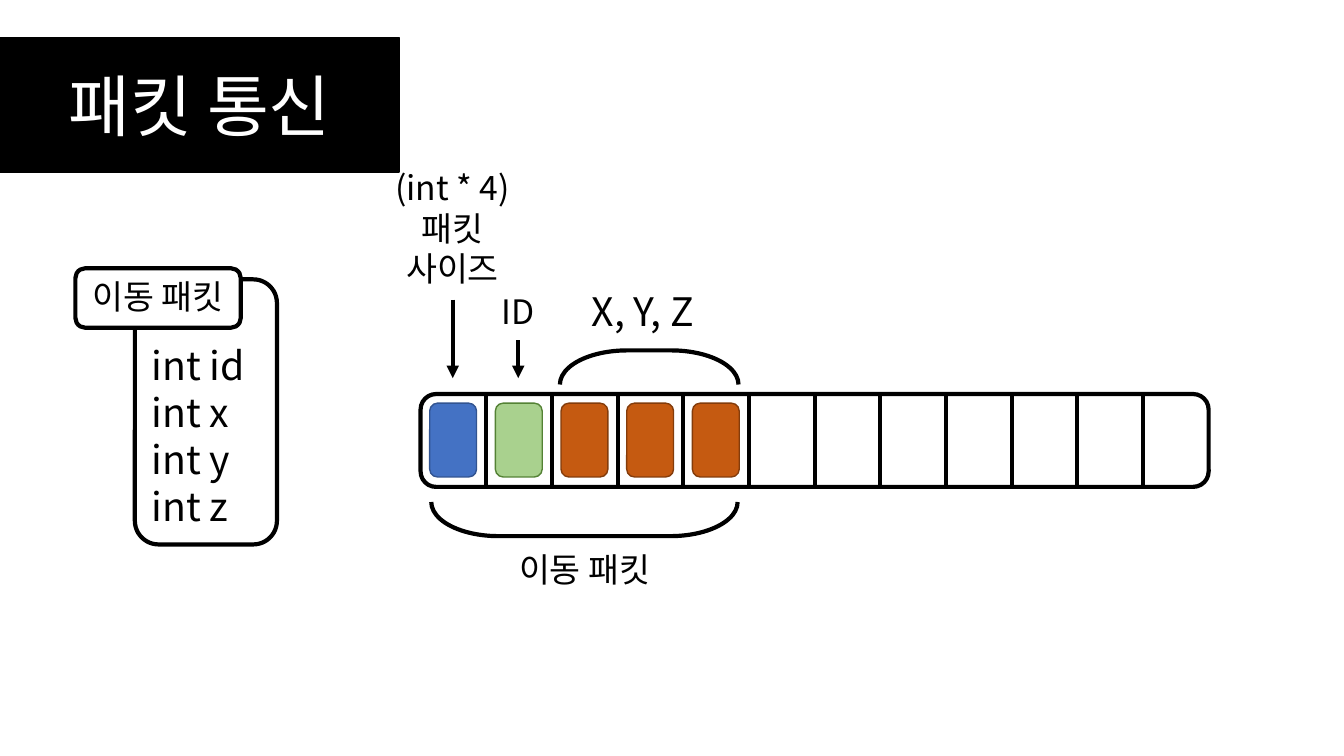
from lxml import etree
from pptx import Presentation
from pptx.dml.color import RGBColor
from pptx.enum.shapes import MSO_CONNECTOR, MSO_SHAPE
from pptx.enum.text import MSO_ANCHOR, PP_ALIGN
from pptx.oxml.ns import qn
from pptx.util import Cm, Pt

RECTANGLE = MSO_SHAPE.ROUNDED_RECTANGLE
BRACKET = MSO_SHAPE.LEFT_BRACKET
STRAIGHT = MSO_CONNECTOR.STRAIGHT
TOP, MIDDLE, BOTTOM = MSO_ANCHOR.TOP, MSO_ANCHOR.MIDDLE, MSO_ANCHOR.BOTTOM
LEFT, CENTER = PP_ALIGN.LEFT, PP_ALIGN.CENTER

FONT = "Noto Sans CJK KR"
COLORS = {
    "black": "000000", "white": "FFFFFF",
    "blue": "4472C4", "blue edge": "325491",
    "green": "A9D18E", "green edge": "548235",
    "orange": "C55A11", "orange edge": "843C0B",
}


class PacketSlide:
    """Draws styled elements on one title-only slide."""

    def __init__(self, presentation):
        self.slide = presentation.slides.add_slide(presentation.slide_layouts[5])
        self.shapes = self.slide.shapes

    def color(self, name):
        return RGBColor.from_string(COLORS[name])

    def start_group(self):
        self.shapes = self.slide.shapes.add_group_shape().shapes

    def end_group(self):
        self.shapes = self.slide.shapes

    def outline(self, shape, color="black", width=3):
        shape.line.color.rgb = self.color(color)
        shape.line.width = Pt(width)

    def add_text(self, shape, paragraphs, size, align=CENTER, anchor=TOP,
                 color="black", wrap=True, top_margin=0.13):
        frame = shape.text_frame
        frame.word_wrap = wrap
        frame.vertical_anchor = anchor
        frame.margin_top = Cm(top_margin)
        for index, text in enumerate(paragraphs):
            paragraph = frame.add_paragraph() if index else frame.paragraphs[0]
            paragraph.alignment = align
            paragraph.line_spacing = Pt(size * 1.2)
            for number, line in enumerate(text.split("\n")):
                if number:
                    paragraph.add_line_break()
                run = paragraph.add_run()
                run.text = line
                run.font.size = Pt(size)
                run.font.name = FONT
                run.font.color.rgb = self.color(color)
                properties = run.font._element
                etree.SubElement(properties, qn("a:ea")).set("typeface", FONT)

    def title(self, text, left, top, width, height):
        shape = self.slide.shapes.title
        shape.left, shape.top = Cm(left), Cm(top)
        shape.width, shape.height = Cm(width), Cm(height)
        shape.fill.solid()
        shape.fill.fore_color.rgb = self.color("black")
        self.outline(shape, width=1)
        self.add_text(shape, [text], 48, anchor=MIDDLE, color="white")

    def box(self, left, top, width, height, fill="white", edge="black", weight=3):
        shape = self.shapes.add_shape(
            RECTANGLE, Cm(left), Cm(top), Cm(width), Cm(height))
        shape.shadow.inherit = False
        shape.fill.solid()
        shape.fill.fore_color.rgb = self.color(fill)
        self.outline(shape, edge, weight)
        return shape

    def label(self, text, left, top, width, height, size=24, **style):
        shape = self.shapes.add_textbox(Cm(left), Cm(top), Cm(width), Cm(height))
        self.add_text(shape, [text], size, **style)

    def line(self, x, top, bottom, arrow=False):
        connector = self.shapes.add_connector(
            STRAIGHT, Cm(x), Cm(top), Cm(x), Cm(bottom))
        self.outline(connector)
        properties = connector._element.spPr
        if arrow:
            line = properties.find(qn("a:ln"))
            etree.SubElement(line, qn("a:tailEnd")).set("type", "triangle")
        etree.SubElement(properties, qn("a:effectLst"))

    def bracket(self, left, top, width, height, rotation):
        shape = self.shapes.add_shape(
            BRACKET, Cm(left), Cm(top), Cm(width), Cm(height))
        shape.shadow.inherit = False
        shape.adjustments[0] = 1.973
        shape.rotation = rotation
        shape.fill.background()
        self.outline(shape)


def main():
    presentation = Presentation()
    presentation.slide_width, presentation.slide_height = Cm(33.87), Cm(19.05)
    page = PacketSlide(presentation)
    page.title("패킷 통신", 0, 0.94, 10.06, 3.4)

    buffer_left, buffer_top, buffer_height = 10.6, 9.93, 2.34
    cell_count, buffer_width = 12, 19.86
    cell_width = buffer_width / cell_count
    page.start_group()
    page.box(buffer_left, buffer_top, buffer_width, buffer_height)
    for index in range(1, cell_count):
        page.line(buffer_left + index * cell_width,
                  buffer_top, buffer_top + buffer_height)
    page.end_group()

    page.start_group()
    fields = page.box(3.4, 7.04, 3.58, 6.68)
    page.add_text(fields, ["int id", "int x", "int y", "int z"], 28,
                  align=LEFT, top_margin=1.38)
    name = page.box(1.9, 6.76, 4.17, 1.5)
    page.add_text(name, ["이동 패킷"], 24)
    page.end_group()

    for index, fill in enumerate(["blue", "green", "orange", "orange", "orange"]):
        page.box(buffer_left + 0.23 + index * cell_width, buffer_top + 0.23,
                 1.18, 1.86, fill, fill + " edge", 1)

    page.line(11.41, 7.55, 9.53, arrow=True)
    page.line(13.06, 8.58, 9.53, arrow=True)
    page.label("(int * 4)\n패킷 사이즈", 9.22, 5.08, 4.37, 2.31, anchor=BOTTOM)
    page.label("ID", 10.88, 7.2, 4.37, 1.27)
    page.label("X, Y, Z", 14.66, 7.11, 3.43, 1.45, 28, align=LEFT, wrap=False)
    page.label("이동 패킷", 12.55, 13.7, 4.37, 1.27)
    page.bracket(15.93, 7.01, 0.86, 4.5, 90)
    page.bracket(14.3, 9.22, 0.86, 7.72, 270)
    presentation.save("out.pptx")


if __name__ == "__main__":
    main()
